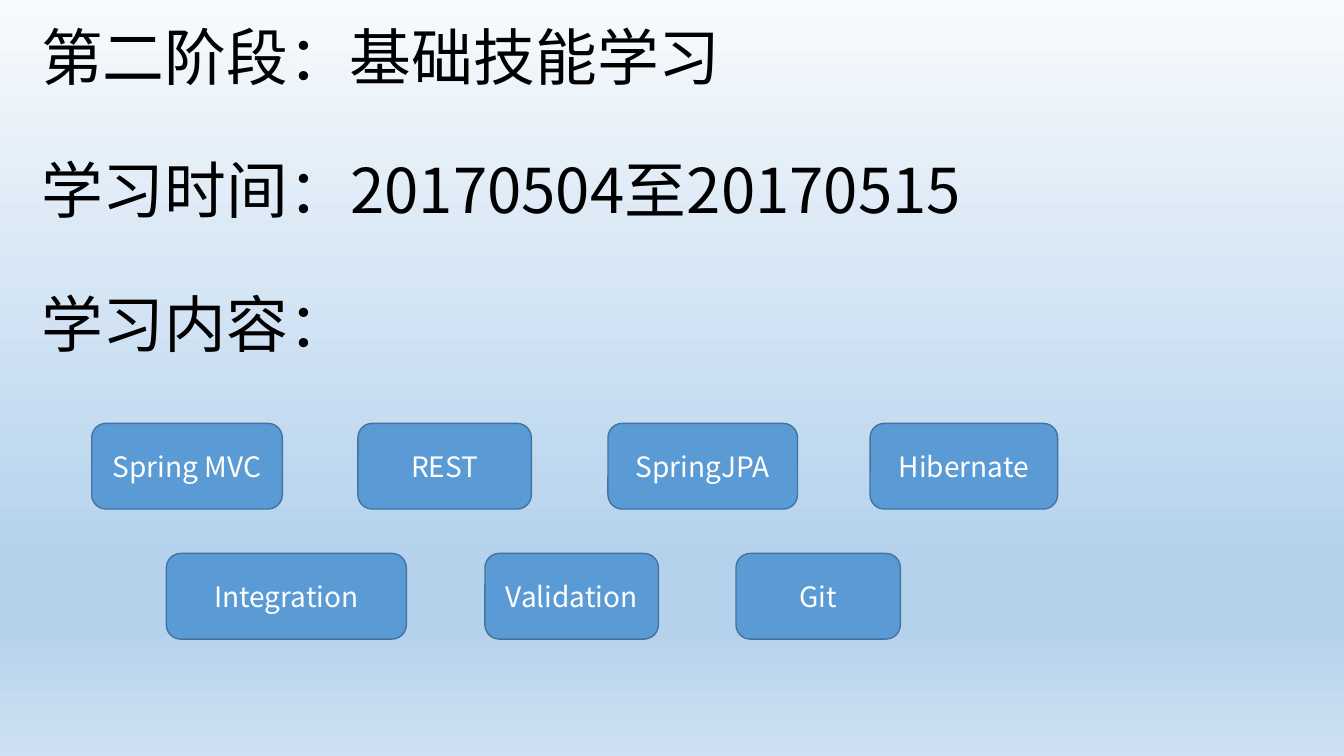
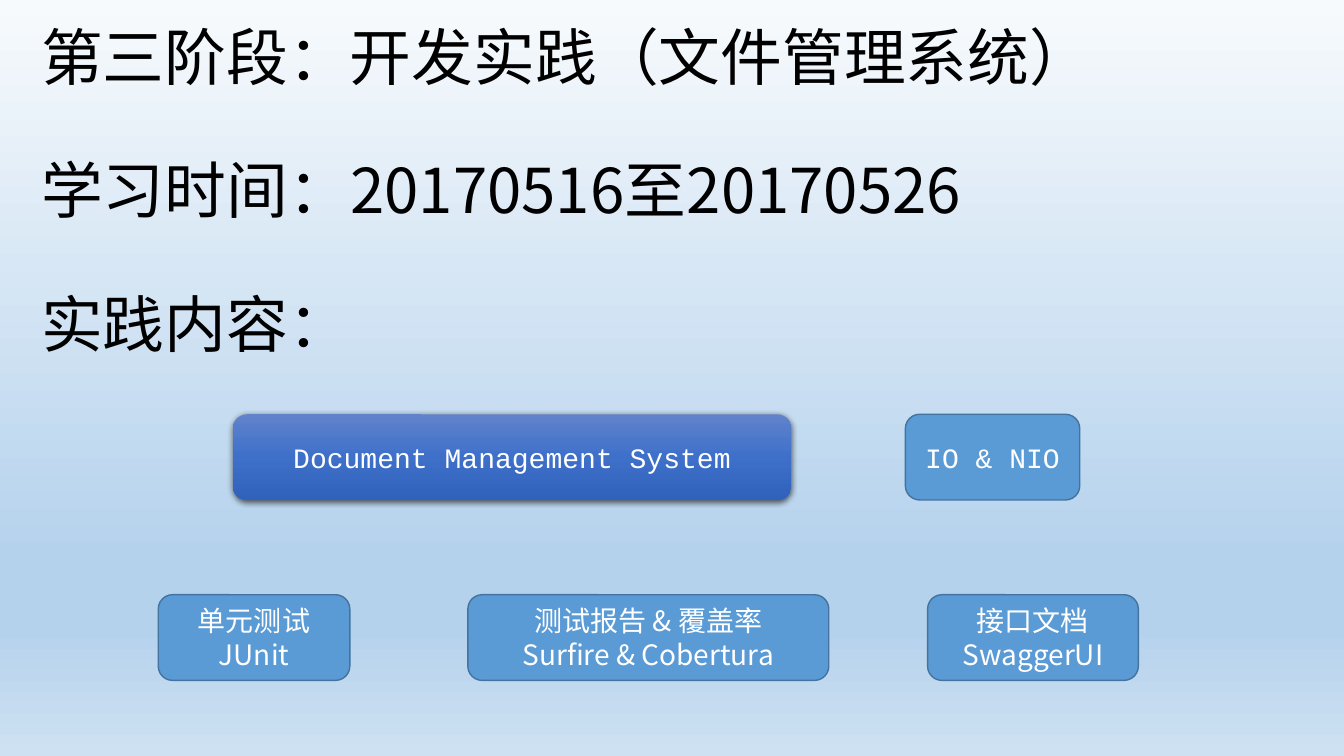
"""Build two study-plan slides: basic skills and development practice."""
import pptx
import pptx.dml.color
import pptx.enum.shapes
import pptx.enum.text
import pptx.oxml
import pptx.oxml.ns
import pptx.util
from lxml import etree

Inches = pptx.util.Inches
Pt = pptx.util.Pt
RGBColor = pptx.dml.color.RGBColor
qn = pptx.oxml.ns.qn

BLACK = RGBColor(0x00, 0x00, 0x00)
WHITE = RGBColor(0xFF, 0xFF, 0xFF)
BLUE = RGBColor(0x5B, 0x9B, 0xD5)
BLUE_EDGE = RGBColor(0x43, 0x73, 0x9E)
SKY_TOP = RGBColor(0xF7, 0xFA, 0xFD)
SKY_MIDDLE = RGBColor(0xB5, 0xD2, 0xEC)
SKY_BOTTOM = RGBColor(0xCE, 0xE1, 0xF2)
ROYAL_TOP = RGBColor(0x61, 0x83, 0xCB)
ROYAL_MIDDLE = RGBColor(0x3E, 0x70, 0xCA)
ROYAL_BOTTOM = RGBColor(0x30, 0x62, 0xBB)

SKY = [(0, SKY_TOP), (74, SKY_MIDDLE), (83, SKY_MIDDLE), (100, SKY_BOTTOM)]
ROYAL = [(0, ROYAL_TOP), (50, ROYAL_MIDDLE), (100, ROYAL_BOTTOM)]

SANS = "Noto Sans CJK SC"
MONO = "Courier New"
TILE_HEIGHT = 0.85


def paint_gradient(fill, owner, stops):
    fill.gradient()
    fill.gradient_angle = 270
    stop_list = owner.find(".//" + qn("a:gsLst"))
    for stop in list(stop_list):
        stop_list.remove(stop)
    for percent, color in stops:
        stop = etree.SubElement(stop_list, qn("a:gs"), pos=str(percent * 1000))
        etree.SubElement(stop, qn("a:srgbClr"), val=str(color))


def write_lines(frame, lines, size, color, font_name=SANS):
    frame.word_wrap = True
    frame.text = "\n".join(lines)
    for para in frame.paragraphs:
        para.font.size = Pt(size)
        para.font.name = font_name
        para.font.color.rgb = color
        defaults = para._p.find(".//" + qn("a:defRPr"))
        etree.SubElement(defaults, qn("a:ea"), typeface=SANS)
    return frame.paragraphs


STAGES = [
    (
        ["第二阶段：基础技能学习", "学习时间：20170504至20170515", "学习内容："],
        [
            (4.2, [
                (0.91, 1.89, ["Spring MVC"], SANS, "flat"),
                (3.55, 1.72, ["REST"], SANS, "flat"),
                (6.03, 1.88, ["SpringJPA"], SANS, "flat"),
                (8.63, 1.86, ["Hibernate"], SANS, "flat"),
            ]),
            (5.49, [
                (1.65, 2.38, ["Integration"], SANS, "flat"),
                (4.81, 1.72, ["Validation"], SANS, "flat"),
                (7.3, 1.63, ["Git"], SANS, "flat"),
            ]),
        ],
    ),
    (
        ["第三阶段：开发实践（文件管理系统）", "学习时间：20170516至20170526", "实践内容："],
        [
            (4.11, [
                (2.31, 5.54, ["Document Management System"], MONO, "raised"),
                (8.98, 1.73, ["IO & NIO"], MONO, "flat"),
            ]),
            (5.9, [
                (1.57, 1.9, ["单元测试JUnit"], SANS, "flat"),
                (4.64, 3.58, ["测试报告 & 覆盖率", "Surfire & Cobertura"], SANS, "flat"),
                (9.2, 2.09, ["接口文档", "SwaggerUI"], SANS, "flat"),
            ]),
        ],
    ),
]

deck = pptx.Presentation()
deck.slide_width = Inches(13.33)
deck.slide_height = Inches(7.5)

for headings, rows in STAGES:
    page = deck.slides.add_slide(deck.slide_layouts[6])
    paint_gradient(page.background.fill, page._element, SKY)

    title = page.shapes.add_textbox(Inches(0.31), Inches(0.15), Inches(12.8), Inches(4.18))
    title.text_frame.margin_top = Inches(0.12)
    heading_paras = write_lines(title.text_frame, headings, 44.1, BLACK)
    for para in heading_paras:
        para.line_spacing = 0.9
    for para in heading_paras[:-1]:
        para.space_after = Pt(47.6)

    for top, tiles in rows:
        for left, width, lines, font_name, style in tiles:
            tile = page.shapes.add_shape(
                pptx.enum.shapes.MSO_SHAPE.ROUNDED_RECTANGLE,
                Inches(left), Inches(top), Inches(width), Inches(TILE_HEIGHT))
            tile.shadow.inherit = False
            if style == "raised":
                paint_gradient(tile.fill, tile._element, ROYAL)
                tile.line.fill.background()
                effects = tile._element.spPr.find(qn("a:effectLst"))
                shadow = etree.SubElement(
                    effects, qn("a:outerShdw"), blurRad=str(Pt(4.5)),
                    dist=str(Pt(1.5)), dir="5400000", algn="ctr", rotWithShape="0")
                shade = etree.SubElement(shadow, qn("a:srgbClr"), val=str(BLACK))
                etree.SubElement(shade, qn("a:alpha"), val="63000")
            else:
                tile.fill.solid()
                tile.fill.fore_color.rgb = BLUE
                tile.line.color.rgb = BLUE_EDGE
                tile.line.width = Pt(1)
            tile.text_frame.vertical_anchor = pptx.enum.text.MSO_ANCHOR.MIDDLE
            for para in write_lines(tile.text_frame, lines, 20, WHITE, font_name):
                para.alignment = pptx.enum.text.PP_ALIGN.CENTER

deck.save("out.pptx")
